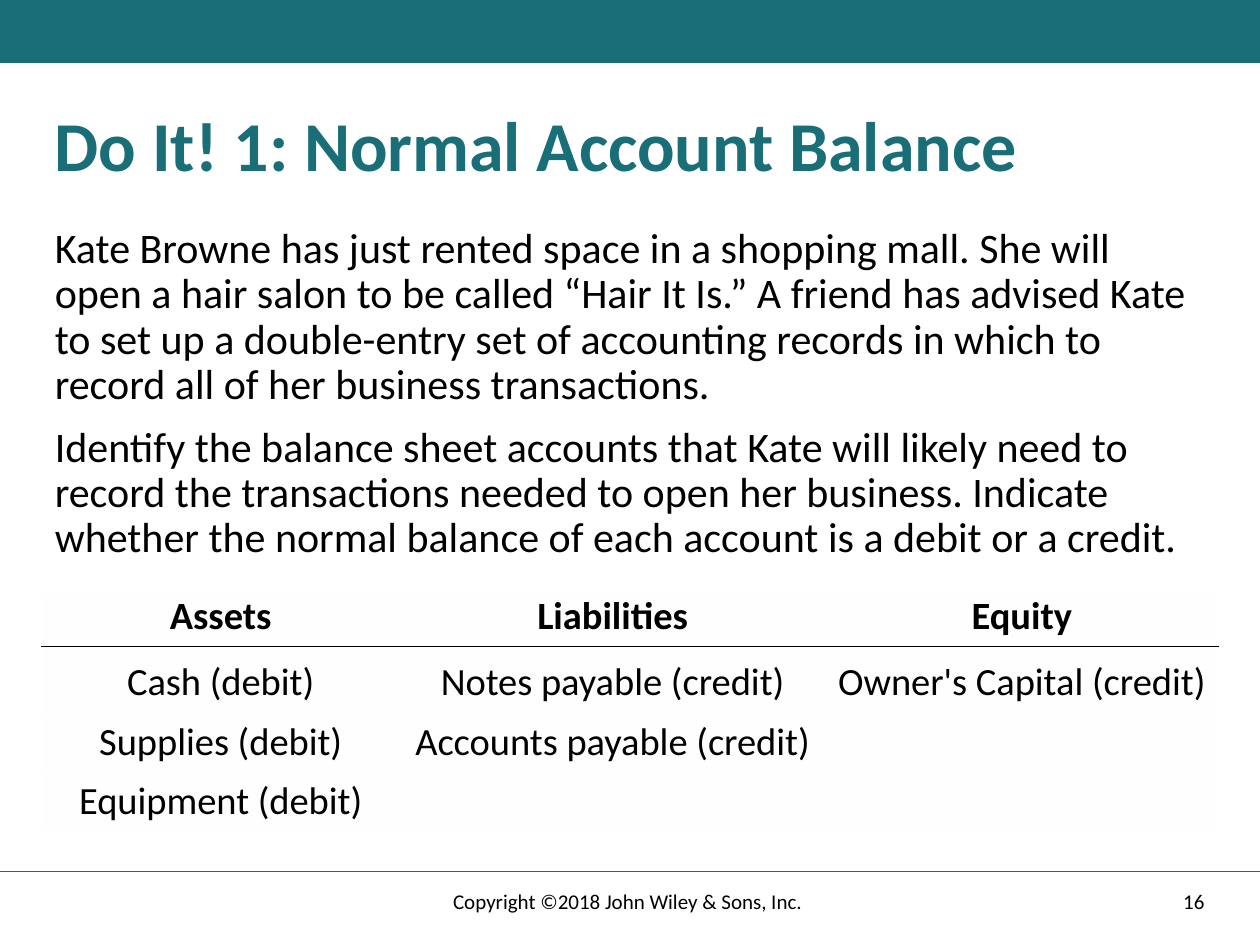
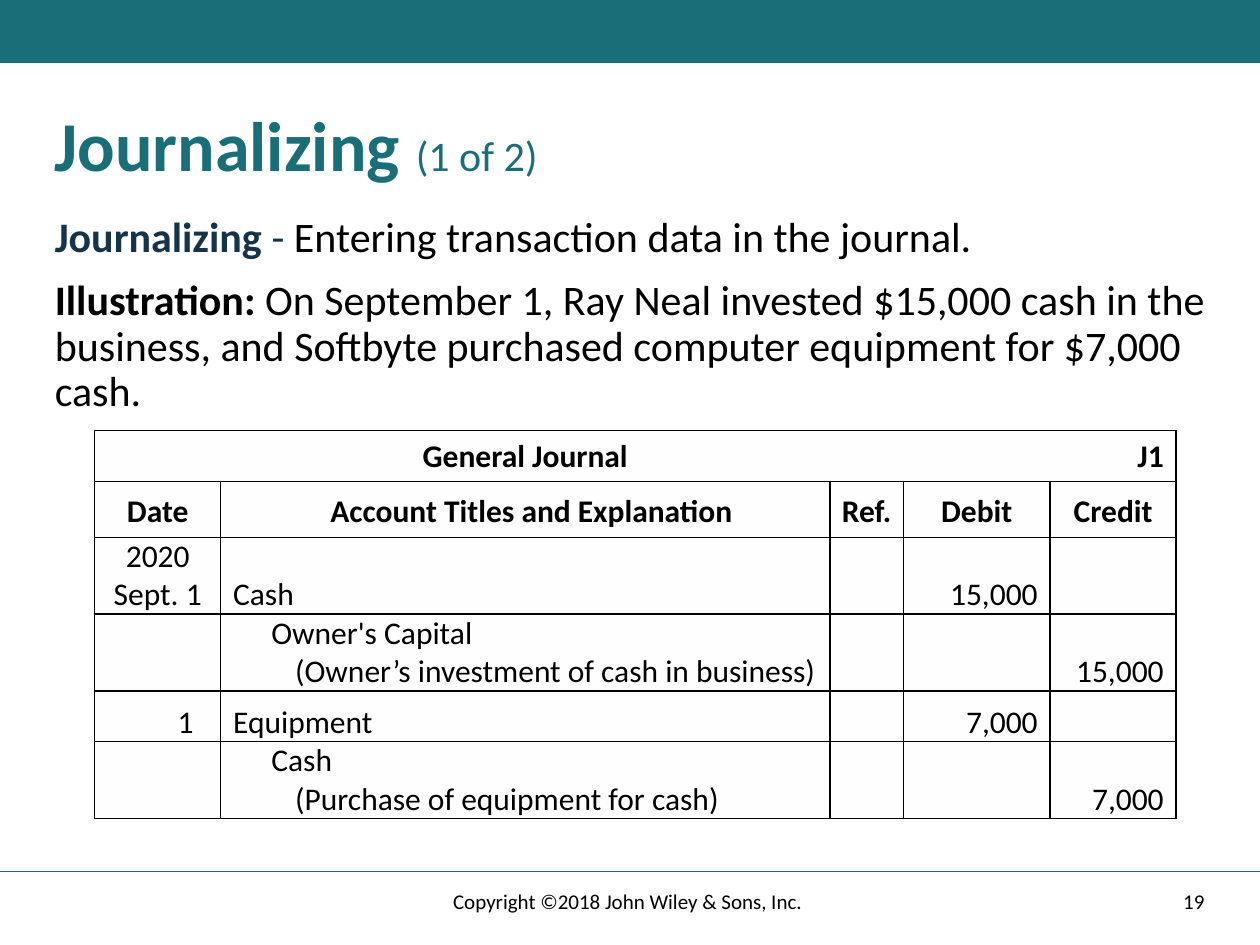
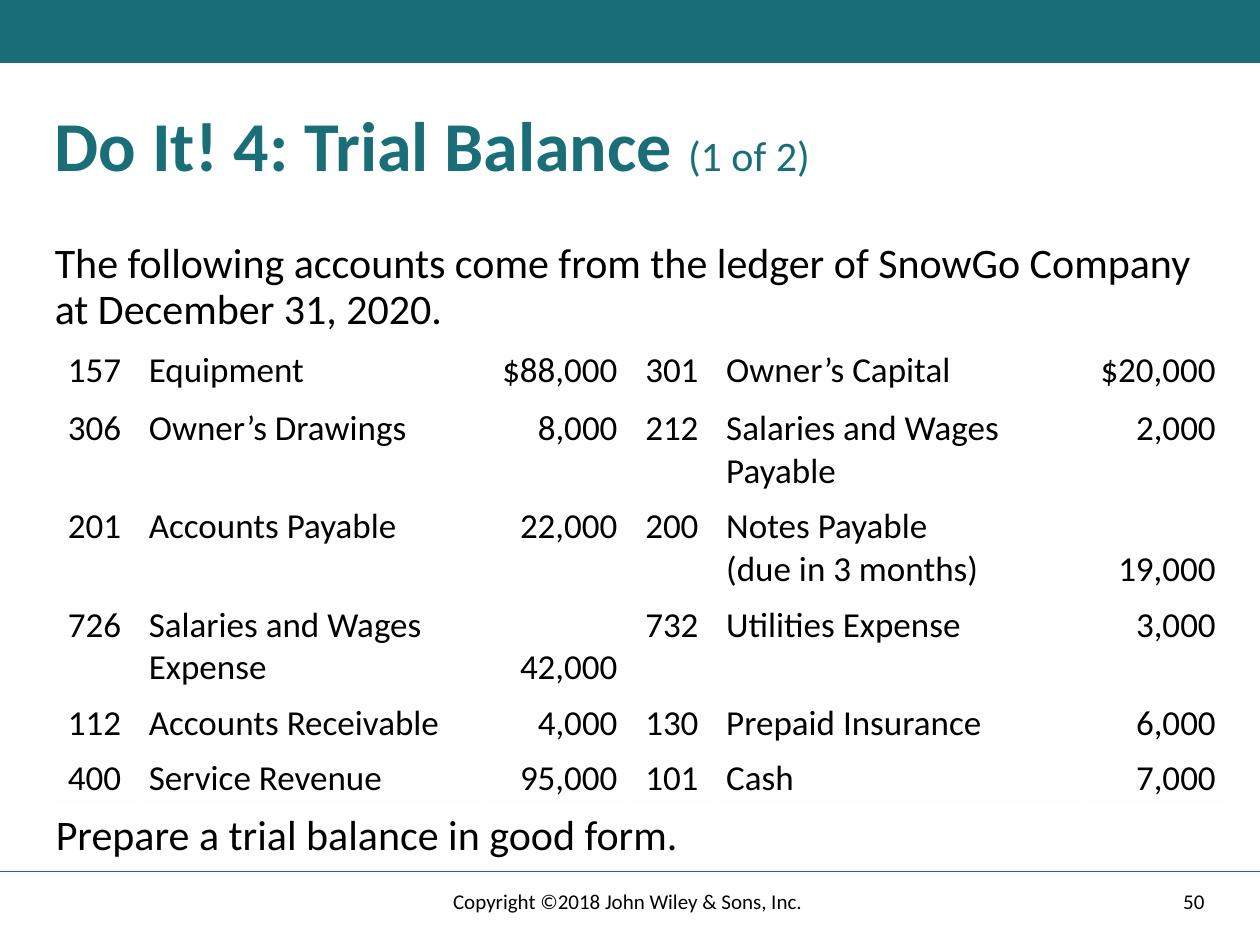
from dataclasses import dataclass
from functools import partial
from typing import NamedTuple, Optional

from lxml.etree import SubElement
from pptx import Presentation
from pptx.dml.color import RGBColor
from pptx.enum.shapes import MSO_CONNECTOR, MSO_SHAPE
from pptx.enum.text import MSO_ANCHOR, MSO_AUTO_SIZE, PP_ALIGN
from pptx.oxml.ns import qn
from pptx.util import Cm, Pt

# Shared style
COLOURS = {
    "teal": "196E78",
    "navy": "15344A",
    "black": "000000",
    "white": "FFFFFF",
    "cell": "FFFEFE",
}
FONT = "Calibri"
SLIDE_WIDTH, SLIDE_HEIGHT = 25.4, 19.05
TEXT_LEFT, TEXT_WIDTH = 0.85, 23.71
COPYRIGHT = "Copyright ©2018 John Wiley & Sons, Inc."


class Box(NamedTuple):
    """Position and size in centimetres."""
    left: float
    top: float
    width: float
    height: float

    def lengths(self) -> list[Cm]:
        return [Cm(value) for value in self]


class Span(NamedTuple):
    text: str
    bold: bool = False
    colour: str = "black"
    size: int = 24


class Insets(NamedTuple):
    """Cell margins in centimetres."""
    left: float = 0.25
    top: float = 0.13
    right: float = 0.25
    bottom: float = 0.13


@dataclass(frozen=True)
class Entry:
    text: str = ""
    align: PP_ALIGN = PP_ALIGN.LEFT
    anchor: MSO_ANCHOR = MSO_ANCHOR.BOTTOM
    insets: Insets = Insets()
    bold: bool = False
    detail_indent: float = 0


@dataclass(frozen=True)
class Ledger:
    left: float
    top: float
    columns: list[float]
    heights: list[float]
    size: int
    edge: str = "white"
    ruled_row: Optional[int] = None  # row with a black rule below it
    open_row: Optional[int] = None   # row without inner vertical edges


def colour(name: str) -> RGBColor:
    return RGBColor.from_string(COLOURS[name])


def style(font, size: int, name: str = "black", bold: bool = False) -> None:
    font.name, font.size, font.bold = FONT, Pt(size), bold
    font.color.rgb = colour(name)


# Frame of every slide
def add_frame(slide, page: int) -> None:
    band = slide.shapes.add_shape(
        MSO_SHAPE.RECTANGLE, *Box(0, 0, SLIDE_WIDTH, 1.27).lengths())
    band.shadow.inherit = False
    band.fill.solid()
    band.fill.fore_color.rgb = colour("teal")
    band.line.fill.background()

    footer_rule = slide.shapes.add_connector(
        MSO_CONNECTOR.STRAIGHT, Cm(0), Cm(17.57), Cm(SLIDE_WIDTH), Cm(17.57))
    footer_rule.line.color.rgb = colour("teal")
    footer_rule.line.width = Pt(1)
    SubElement(footer_rule._element.spPr, qn("a:effectLst"))

    add_footer(slide, str(page), Box(17.93, 17.65, 6.6, 1.02), PP_ALIGN.RIGHT)
    add_footer(slide, COPYRIGHT, Box(8.36, 17.65, 8.59, 1.02), PP_ALIGN.CENTER)


def add_footer(slide, text: str, box: Box, align: PP_ALIGN) -> None:
    frame = slide.shapes.add_textbox(*box.lengths()).text_frame
    frame.word_wrap = True
    frame.vertical_anchor = MSO_ANCHOR.MIDDLE
    frame.text = text
    line = frame.paragraphs[0]
    line.alignment = align
    style(line.runs[0].font, 12)


def fill_placeholder(placeholder, box: Box, paragraphs: list[list[Span]]) -> None:
    (placeholder.left, placeholder.top,
     placeholder.width, placeholder.height) = box.lengths()
    frame = placeholder.text_frame
    frame.word_wrap = True
    frame.auto_size = MSO_AUTO_SIZE.NONE
    frame.vertical_anchor = MSO_ANCHOR.TOP
    for index, spans in enumerate(paragraphs):
        paragraph = frame.add_paragraph() if index else frame.paragraphs[0]
        properties = paragraph._p.get_or_add_pPr()
        properties.set("marL", "0")
        properties.set("indent", "0")
        SubElement(properties, qn("a:buNone"))
        paragraph.alignment = PP_ALIGN.LEFT
        paragraph.line_spacing = 0.9
        paragraph.space_before = Pt(10 if index else 0)
        for span in spans:
            run = paragraph.add_run()
            run.text = span.text
            style(run.font, span.size, span.colour, span.bold)


def start_slide(deck, layout: int, page: int, title: str, part: str = ""):
    slide = deck.slides.add_slide(deck.slide_layouts[layout])
    add_frame(slide, page)
    spans = [Span(title, True, "teal", 40)]
    if part:
        spans.append(Span(part, False, "teal"))
    fill_placeholder(slide.shapes.title,
                     Box(TEXT_LEFT, 2.12, TEXT_WIDTH, 1.9), [spans])
    return slide


# Tables
def cell_edges(ledger: Ledger, row: int, column: int) -> dict[str, Optional[str]]:
    edges: dict[str, Optional[str]] = dict.fromkeys("LRTB", ledger.edge)
    if ledger.ruled_row is not None:
        if row == ledger.ruled_row:
            edges["B"] = "black"
        elif row == ledger.ruled_row + 1:
            edges["T"] = "black"
    if row == ledger.open_row:
        if column > 0:
            edges["L"] = None
        if column < len(ledger.columns) - 1:
            edges["R"] = None
    return edges


def draw_edges(cell, edges: dict[str, Optional[str]]) -> None:
    properties = cell._tc.get_or_add_tcPr()
    for side, name in edges.items():
        line = SubElement(properties, qn(f"a:ln{side}"), w=str(Pt(1)))
        if name:
            fill = SubElement(line, qn("a:solidFill"))
            SubElement(fill, qn("a:srgbClr"), val=COLOURS[name])
        else:
            SubElement(line, qn("a:noFill"))


def fill_cell(cell, entry: Entry, size: int) -> None:
    cell.fill.solid()
    cell.fill.fore_color.rgb = colour("cell")
    if not entry.text:
        return
    (cell.margin_left, cell.margin_top,
     cell.margin_right, cell.margin_bottom) = map(Cm, entry.insets)
    cell.vertical_anchor = entry.anchor
    cell.text_frame.text = entry.text
    for index, paragraph in enumerate(cell.text_frame.paragraphs):
        paragraph.alignment = entry.align
        if index and entry.detail_indent:
            paragraph._p.get_or_add_pPr().set("marL", str(Cm(entry.detail_indent)))
        style(paragraph.runs[0].font, size, bold=entry.bold)


def add_ledger(slide, ledger: Ledger, rows: list[list[Entry]]) -> None:
    box = Box(ledger.left, ledger.top, sum(ledger.columns), sum(ledger.heights))
    table = slide.shapes.add_table(
        len(rows), len(ledger.columns), *box.lengths()).table
    table.first_row = table.horz_banding = False
    for column, width in zip(table.columns, ledger.columns):
        column.width = Cm(width)
    for row, height in zip(table.rows, ledger.heights):
        row.height = Cm(height)
    for r, entries in enumerate(rows):
        for c, entry in enumerate(entries):
            cell = table.cell(r, c)
            draw_edges(cell, cell_edges(ledger, r, c))
            fill_cell(cell, entry, ledger.size)


# Slide: normal balances
def build_normal_balance(deck) -> None:
    slide = start_slide(deck, 1, 16, "Do It! 1: Normal Account Balance")
    fill_placeholder(slide.placeholders[1], Box(TEXT_LEFT, 4.45, TEXT_WIDTH, 7.2), [
        [Span("Kate Browne has just rented space in a shopping mall. She will open "
              "a hair salon to be called “Hair It Is.” A friend has advised Kate to "
              "set up a double-entry set of accounting records in which to record "
              "all of her business transactions.")],
        [Span("Identify the balance sheet accounts that Kate will likely need to "
              "record the transactions needed to open her business. Indicate "
              "whether the normal balance of each account is a debit or a credit.")],
    ])
    accounts = [
        ["Assets", "Liabilities", "Equity"],
        ["Cash (debit)", "Notes payable (credit)", "Owner's Capital (credit)"],
        ["Supplies (debit)", "Accounts payable (credit)", ""],
        ["Equipment (debit)", "", ""],
    ]
    top_insets = [0, 0.25, 0.13, 0.13]
    rows = [
        [Entry(name, PP_ALIGN.CENTER, insets=Insets(0, inset, 0), bold=r == 0)
         for name in names]
        for r, (names, inset) in enumerate(zip(accounts, top_insets))
    ]
    add_ledger(slide, Ledger(TEXT_LEFT, 11.96, [7.2, 8.6, 7.9],
                             [1.07, 1.33, 1.2, 1.2], 22, ruled_row=0), rows)


# Slide: general journal
def build_journalizing(deck) -> None:
    slide = start_slide(deck, 1, 19, "Journalizing ", "(1 of 2)")
    fill_placeholder(slide.placeholders[1], Box(TEXT_LEFT, 4.24, TEXT_WIDTH, 4.24), [
        [Span("Journalizing ", True, "navy"), Span("-", False, "navy"),
         Span(" Entering transaction data in the journal.")],
        [Span("Illustration:", True),
         Span(" On September 1, Ray Neal invested $15,000 cash in the business, "
              "and Softbyte purchased computer equipment for $7,000 cash.")],
    ])
    blank = Entry()
    caption = partial(Entry, anchor=MSO_ANCHOR.TOP, bold=True)
    heading = partial(Entry, align=PP_ALIGN.CENTER, bold=True,
                      insets=Insets(0, 0.23, 0))
    debited = partial(Entry, insets=Insets(0.25, 0, 0, 0))
    credited = partial(Entry, insets=Insets(1.02, 0, 0, 0), detail_indent=0.48)
    amount = partial(Entry, align=PP_ALIGN.RIGHT, insets=Insets(0, 0, 0.25, 0))
    rows = [
        [blank, caption("General Journal", PP_ALIGN.CENTER), blank, blank,
         caption("J1", PP_ALIGN.RIGHT)],
        [heading("Date"),
         heading("Account Titles and Explanation", insets=Insets(0.25, 0.23, 0)),
         heading("Ref."), heading("Debit"), heading("Credit")],
        [Entry("2020\nSept. 1", PP_ALIGN.CENTER, insets=Insets(0, 0, 0, 0)),
         debited("Cash"), blank, amount("15,000"), blank],
        [blank, credited("Owner's Capital\n(Owner’s investment of cash in business)"),
         blank, blank, amount("15,000")],
        [amount("1", insets=Insets(0, 0, 0.55, 0)), debited("Equipment"),
         blank, amount("7,000"), blank],
        [blank, credited("Cash\n(Purchase of equipment for cash)"),
         blank, blank, amount("7,000")],
    ]
    add_ledger(slide, Ledger(1.91, 8.68, [2.54, 12.28, 1.48, 2.96, 2.54],
                             [1.02, 1.13, 1.55, 1.55, 0.94, 1.55], 18,
                             edge="black", open_row=0), rows)


# Slide: trial balance
def build_trial_balance(deck) -> None:
    slide = start_slide(deck, 3, 50, "Do It! 4: Trial Balance ", "(1 of 2)")
    fill_placeholder(slide.placeholders[1], Box(TEXT_LEFT, 4.76, TEXT_WIDTH, 2), [
        [Span("The following accounts come from the ledger of SnowGo Company "
              "at December 31, 2020.")],
    ])
    accounts = [
        ["157", "Equipment", "$88,000", "301", "Owner’s Capital", "$20,000"],
        ["306", "Owner’s Drawings", "8,000",
         "212", "Salaries and Wages\nPayable", "2,000"],
        ["201", "Accounts Payable", "22,000",
         "200", "Notes Payable\n(due in 3 months)", "19,000"],
        ["726", "Salaries and Wages\nExpense", "42,000",
         "732", "Utilities Expense", "3,000"],
        ["112", "Accounts Receivable", "4,000", "130", "Prepaid Insurance", "6,000"],
        ["400", "Service Revenue", "95,000", "101", "Cash", "7,000"],
    ]
    aligns = [PP_ALIGN.CENTER, PP_ALIGN.LEFT, PP_ALIGN.RIGHT] * 2
    low_amounts = {"19,000", "42,000"}
    rows = [
        [Entry(text, align,
               MSO_ANCHOR.BOTTOM if text in low_amounts else MSO_ANCHOR.TOP)
         for text, align in zip(texts, aligns)]
        for texts in accounts
    ]
    add_ledger(slide, Ledger(1.06, 6.91, [1.69, 6.99, 2.96, 1.69, 7.41, 2.96],
                             [1.17, 1.98, 1.98, 1.98, 1.11, 1.11], 20), rows)
    fill_placeholder(slide.placeholders[2], Box(0.87, 16.28, 13.3, 1.07),
                     [[Span("Prepare a trial balance in good form.")]])


def main() -> None:
    deck = Presentation()
    deck.slide_width, deck.slide_height = Cm(SLIDE_WIDTH), Cm(SLIDE_HEIGHT)
    build_normal_balance(deck)
    build_journalizing(deck)
    build_trial_balance(deck)
    deck.save("out.pptx")


if __name__ == "__main__":
    main()
